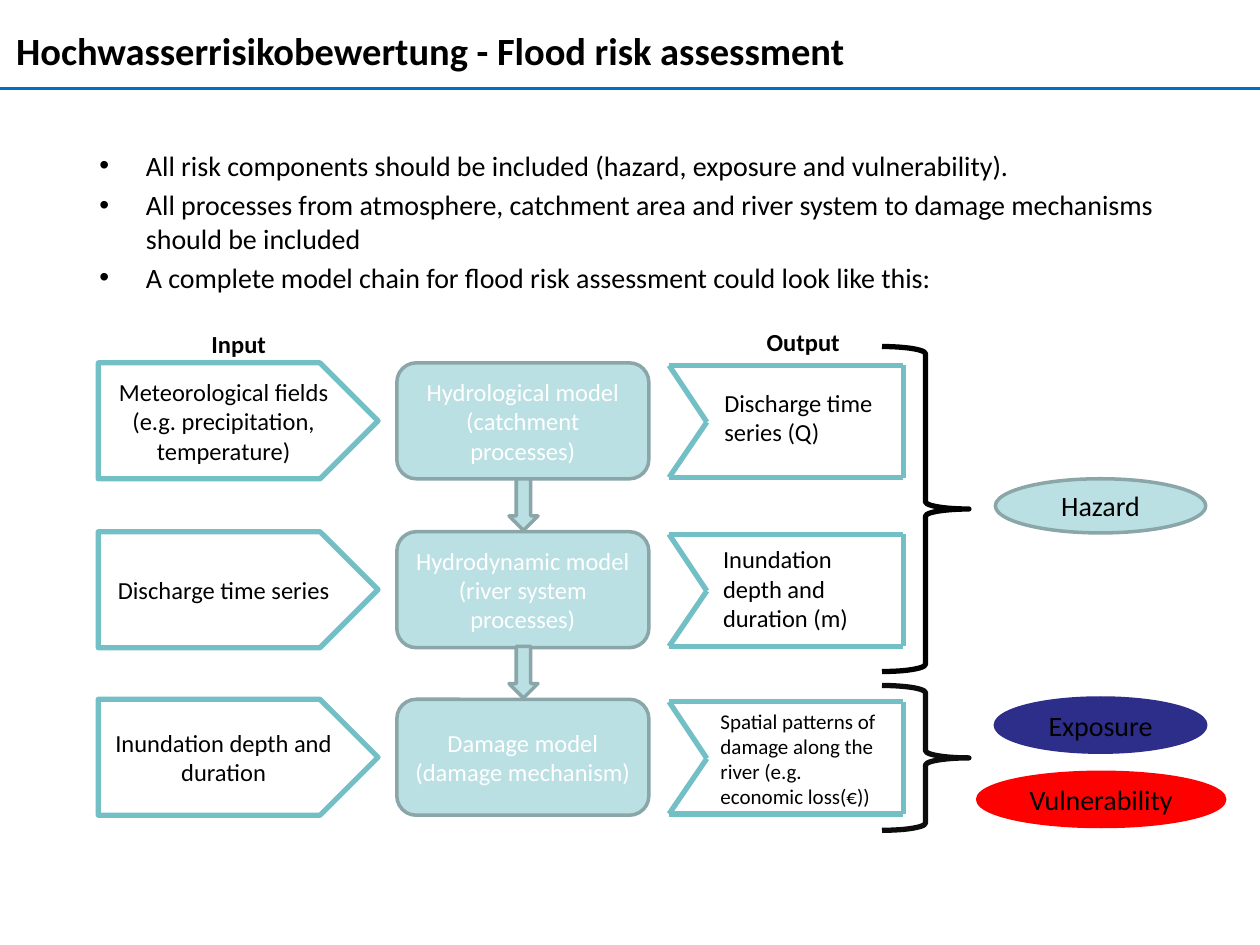
from lxml import etree
from pptx import Presentation
from pptx.dml.color import RGBColor
from pptx.enum.shapes import MSO_CONNECTOR, MSO_SHAPE as Shape
from pptx.enum.text import MSO_ANCHOR as Anchor, PP_ALIGN as Align
from pptx.oxml.ns import qn
from pptx.util import Inches, Pt

BLACK, WHITE = "000000", "FFFFFF"
TEAL, PALE, GREY = "72BFC5", "BBE0E3", "8AA6A8"

deck = Presentation()
deck.slide_width, deck.slide_height = Inches(10), Inches(7.5)
page = deck.slides.add_slide(deck.slide_layouts[6])


def color(value):
    return RGBColor.from_string(value)


def add_item(place, lines, size=14, kind=None, fill=None, line=None, width=2,
             ink=BLACK, bold=False, align=Align.CENTER, anchor=Anchor.MIDDLE):
    """Add a preset shape, or a text box when no kind is given."""
    place = [Inches(value) for value in place]
    if kind is None:
        box = page.shapes.add_textbox(*place)
    else:
        box = page.shapes.add_shape(kind, *place)
        box.shadow.inherit = False
        if fill:
            box.fill.solid()
            box.fill.fore_color.rgb = color(fill)
        else:
            box.fill.background()
        box.line.color.rgb = color(line)
        box.line.width = Pt(width)
    frame = box.text_frame
    frame.word_wrap = True
    frame.vertical_anchor = anchor
    for index, text in enumerate(lines):
        para = frame.add_paragraph() if index else frame.paragraphs[0]
        para.text = text
        para.alignment = align
        para.font.name = "Calibri"
        para.font.size = Pt(size)
        para.font.bold = bold
        para.font.color.rgb = color(ink)
    return box


def add_line(start, end, stroke, width):
    ends = [Inches(value) for value in (*start, *end)]
    line = page.shapes.add_connector(MSO_CONNECTOR.STRAIGHT, *ends)
    line.line.color.rgb = color(stroke)
    line.line.width = Pt(width)
    etree.SubElement(line._element.spPr, qn("a:effectLst"))


# Title and rule
add_line((0, 0.7), (10, 0.7), "0070C0", 1.5)
add_item((0.03, 0.11, 8.62, 0.58),
         ["Hochwasserrisikobewertung - Flood risk assessment"],
         size=22, bold=True, align=Align.LEFT)

# Bullet list
bullets = add_item((0.69, 1.13, 8.62, 1.3), [
    "All risk components should be included (hazard, exposure and vulnerability).",
    "All processes from atmosphere, catchment area and river system to damage "
    "mechanisms should be included",
    "A complete model chain for flood risk assessment could look like this:",
], size=16, align=Align.LEFT, anchor=Anchor.TOP)
for index, para in enumerate(bullets.text_frame.paragraphs):
    if index:
        para.space_before = Pt(3.2)
    props = para._p.get_or_add_pPr()
    props.set("marL", str(Inches(0.37)))
    props.set("indent", str(Inches(-0.37)))
    bullet_font = etree.Element(qn("a:buFont"), typeface="Arial")
    bullet = etree.Element(qn("a:buChar"), char="•")
    props.find(qn("a:defRPr")).addprevious(bullet_font)
    bullet_font.addnext(bullet)

# Model chain: input, model, output; the output text has its own place and size
rows = [
    (2.88, ["Meteorological fields", "(e.g. precipitation, temperature)"],
     ["Hydrological model", "(catchment processes)"],
     "Discharge time series (Q)", (5.65, 3.03, 1.53, 0.57), 14),
    (4.22, ["Discharge time series"],
     ["Hydrodynamic model", "(river system processes)"],
     "Inundation depth and duration (m)", (5.64, 4.27, 1.53, 0.81), 14),
    (5.55, ["Inundation depth and duration"],
     ["Damage model", "(damage mechanism)"],
     "Spatial patterns of damage along the river (e.g. economic loss(€))",
     (5.62, 5.57, 1.53, 0.91), 12),
]
left, tip, right = 5.31, 5.61, 7.17
for top, source, model, result, result_place, result_size in rows:
    add_item((3.15, top, 2, 0.92), model, kind=Shape.ROUNDED_RECTANGLE,
             fill=PALE, line=GREY, ink=WHITE)
    add_item((0.78, top, 2.22, 0.92), source, kind=Shape.PENTAGON,
             line=TEAL, width=3)
    # Notched output frame
    upper, middle, lower = top + 0.02, top + 0.47, top + 0.91
    corners = [(left, upper), (tip, middle), (left, lower),
               (right, lower), (right, upper), (left, upper)]
    for start, end in zip(corners, corners[1:]):
        add_line(start, end, TEAL, 3)
    add_item(result_place, [result], size=result_size, align=Align.LEFT,
             anchor=Anchor.TOP)

# Braces
for top, height, stroke in [(2.75, 2.58, BLACK), (5.44, 1.15, "0D0D0D")]:
    add_item((7, top, 0.69, height), [], kind=Shape.RIGHT_BRACE,
             line=stroke, width=3)

# Risk components
for text, place, fill, line in [
    ("Hazard", (7.9, 3.8, 1.67, 0.43), PALE, GREY),
    ("Exposure", (7.9, 5.54, 1.67, 0.43), "2D2D8A", "2D2D8A"),
    ("Vulnerability", (7.76, 6.13, 1.96, 0.43), "FF0000", "FF0000"),
]:
    add_item(place, [text], size=16, kind=Shape.OVAL, fill=fill, line=line)

# Arrows between models
for top in (3.8, 5.13):
    add_item((4.04, top, 0.23, 0.41), [], kind=Shape.DOWN_ARROW,
             fill=PALE, line=GREY)

# Column headings
for text, place in [("Input", (1.53, 2.56, 0.73, 0.34)),
                    ("Output", (5.96, 2.55, 0.83, 0.34))]:
    add_item(place, [text], bold=True, anchor=Anchor.TOP)

deck.save("out.pptx")
